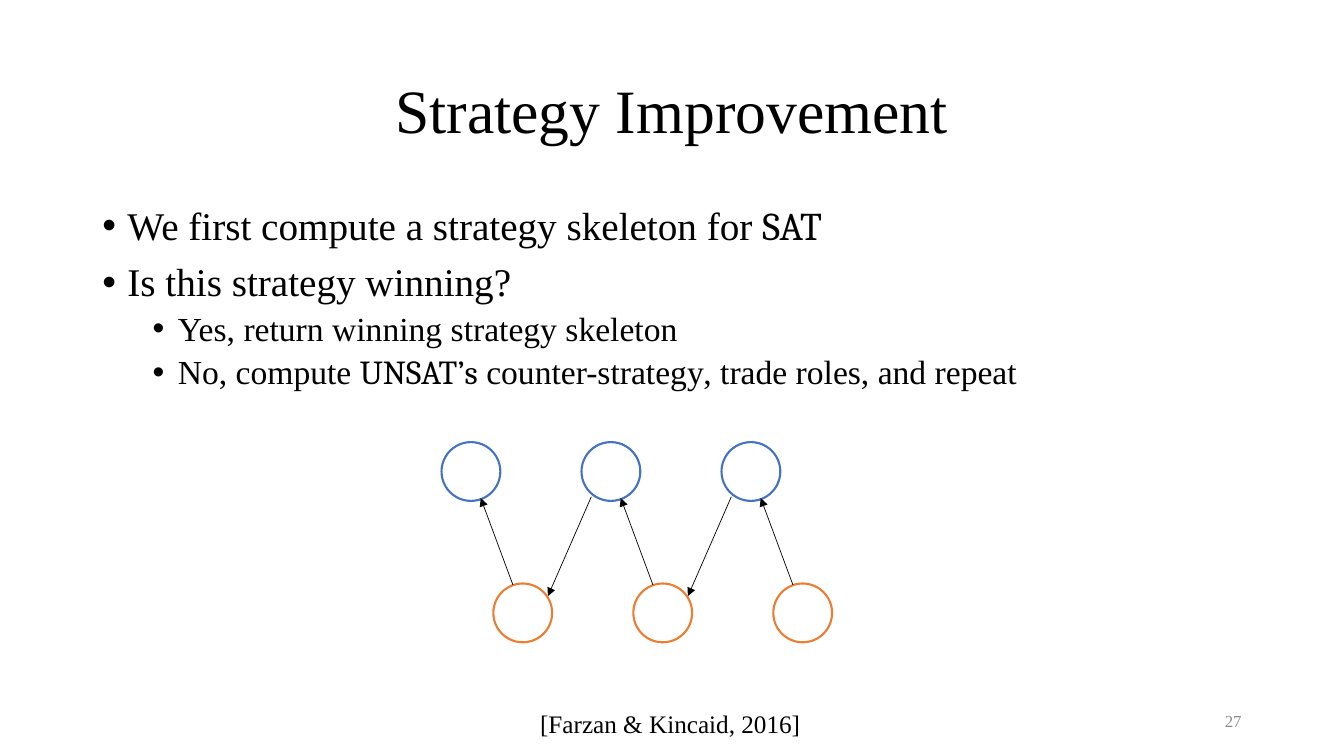
from dataclasses import dataclass

from lxml import etree
from pptx import Presentation
from pptx.dml.color import RGBColor
from pptx.enum.shapes import MSO_CONNECTOR, MSO_SHAPE
from pptx.enum.text import MSO_ANCHOR, PP_ALIGN
from pptx.oxml.ns import qn
from pptx.util import Pt

STRAIGHT = MSO_CONNECTOR.STRAIGHT
OVAL = MSO_SHAPE.OVAL
MIDDLE, TOP = MSO_ANCHOR.MIDDLE, MSO_ANCHOR.TOP
CENTER, LEFT, RIGHT = PP_ALIGN.CENTER, PP_ALIGN.LEFT, PP_ALIGN.RIGHT
TITLE_ONLY = 5


@dataclass(frozen=True)
class Theme:
    serif: str = "Times New Roman"
    player: str = "Cambria"
    ink: RGBColor = RGBColor(0, 0, 0)
    muted: RGBColor = RGBColor(0x8C, 0x8C, 0x8C)
    blue: RGBColor = RGBColor(0x44, 0x72, 0xC4)
    orange: RGBColor = RGBColor(0xED, 0x7D, 0x31)
    title_size: int = 44
    body_sizes: tuple = (28, 24)
    citation_size: int = 18
    number_size: int = 12


THEME = Theme()

# (level, [(text, names a player)])
STEPS = [
    (0, [("We first compute a strategy skeleton for ", False), ("SAT", True)]),
    (0, [("Is this strategy winning?", False)]),
    (1, [("Yes, return winning strategy skeleton", False)]),
    (1, [("No, compute ", False), ("UNSAT’s", True), (" counter-strategy", False)]),
]


def style(paragraph, size, color=THEME.ink):
    paragraph.font.name = THEME.serif
    paragraph.font.size = Pt(size)
    paragraph.font.color.rgb = color


def add_title(slide, left, top, width, height):
    title = slide.shapes.title
    title.left, title.top, title.width, title.height = map(Pt, (left, top, width, height))
    title.text_frame.text = "Strategy Improvement"
    title.text_frame.vertical_anchor = MIDDLE
    heading = title.text_frame.paragraphs[0]
    heading.alignment = CENTER
    heading.line_spacing = 0.9
    style(heading, THEME.title_size)


def add_bullet(paragraph, level):
    paragraph.level = level
    props = paragraph._p.get_or_add_pPr()
    props.set("marL", str(Pt(18 + 36 * level)))
    props.set("indent", str(Pt(-18)))
    etree.SubElement(props, qn("a:buFont")).set("typeface", "Arial")
    etree.SubElement(props, qn("a:buChar")).set("char", "•")


def add_steps(slide, left, top, width, height):
    frame = slide.shapes.add_textbox(*map(Pt, (left, top, width, height))).text_frame
    frame.word_wrap = True
    for index, (level, pieces) in enumerate(STEPS):
        step = frame.add_paragraph() if index else frame.paragraphs[0]
        add_bullet(step, level)
        step.line_spacing = 0.9
        if index:
            step.space_before = Pt(5 if level else 10)
        style(step, THEME.body_sizes[level])
        for text, is_player in pieces:
            run = step.add_run()
            run.text = text
            if is_player:
                run.font.name = THEME.player


def add_line_of_text(slide, box, text, size, color=THEME.ink, align=LEFT,
                     anchor=TOP, indent=0):
    frame = slide.shapes.add_textbox(*map(Pt, box)).text_frame
    frame.word_wrap = False
    frame.vertical_anchor = anchor
    line = frame.paragraphs[0]
    line.text = text
    line.alignment = align
    if indent:
        line._p.get_or_add_pPr().set("marL", str(Pt(indent)))
    style(line, size, color)


def add_state(slide, left, top, diameter, color):
    state = slide.shapes.add_shape(OVAL, Pt(left), Pt(top), Pt(diameter), Pt(diameter))
    state.shadow.inherit = False
    state.fill.background()
    state.line.color.rgb = color
    state.line.width = Pt(1.5)


def add_arrow(slide, *ends):
    arrow = slide.shapes.add_connector(STRAIGHT, *map(Pt, ends))
    arrow.line.color.rgb = THEME.ink
    arrow.line.width = Pt(0.5)
    etree.SubElement(arrow.line._get_or_add_ln(), qn("a:tailEnd")).set("type", "triangle")
    etree.SubElement(arrow._element.spPr, qn("a:effectLst"))


def add_role_trading(slide, left, top, columns=3, pitch=100, diameter=42):
    """Zigzag between the blue states above and the orange states below."""
    for column in range(columns):
        x = left + column * pitch
        add_state(slide, x, top, diameter, THEME.blue)
        add_state(slide, x + 37, top + 101, diameter, THEME.orange)
        add_arrow(slide, x + 51, top + 102, x + 28, top + 40)
        if column:
            add_arrow(slide, x + 7, top + 39, x - 24, top + 110)


def build_slide(deck):
    slide = deck.slides.add_slide(deck.slide_layouts[TITLE_ONLY])
    add_title(slide, 66, 28.8, 828, 104.4)
    add_steps(slide, 66, 144, 828, 342.7)
    add_line_of_text(slide, (678, 500.4, 216, 28.8), "27", THEME.number_size,
                     THEME.muted, RIGHT, MIDDLE)
    add_role_trading(slide, 315.4, 315.8)
    add_line_of_text(slide, (378.7, 502.6, 202.3, 28.8), "[Farzan & Kincaid, 2016]",
                     THEME.citation_size)
    add_line_of_text(slide, (459.4, 247, 276.5, 36), ", trade roles, and repeat",
                     THEME.body_sizes[1], indent=36)


def main():
    deck = Presentation()
    deck.slide_width, deck.slide_height = Pt(960), Pt(540)
    build_slide(deck)
    deck.save("out.pptx")


if __name__ == "__main__":
    main()
